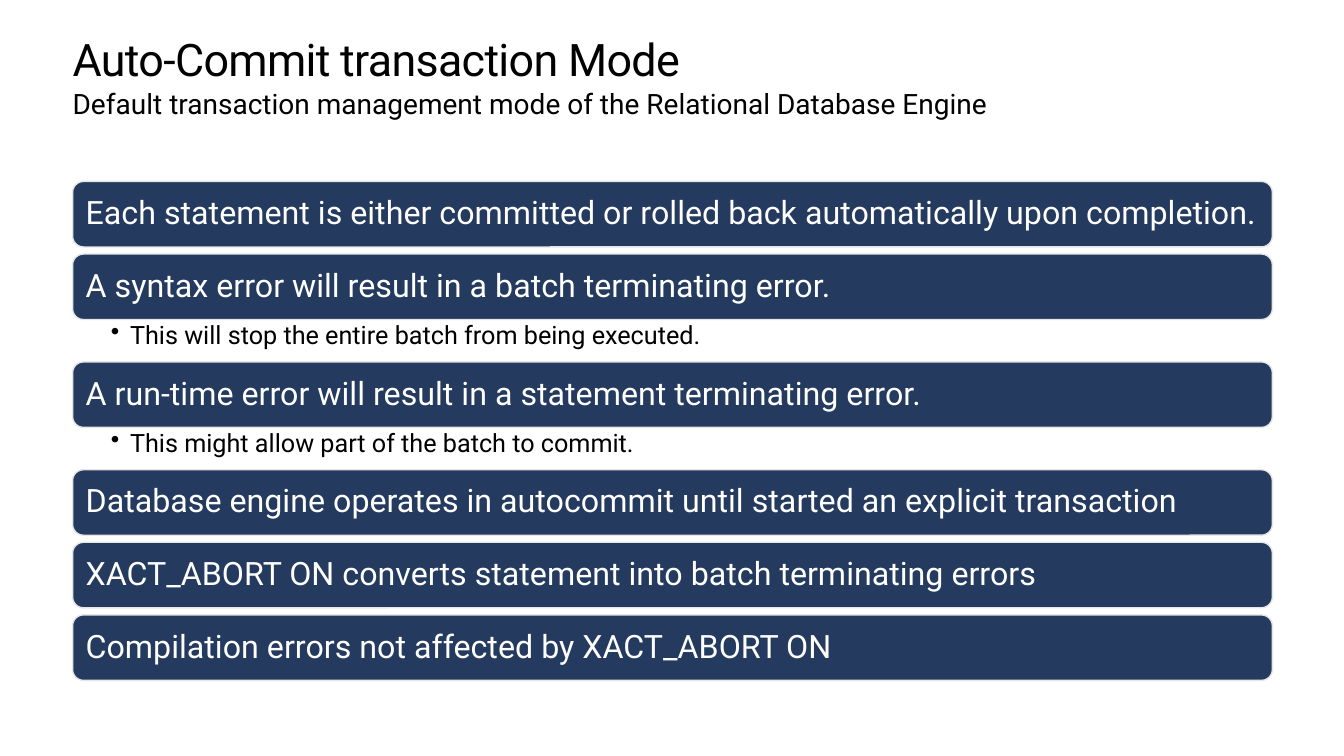
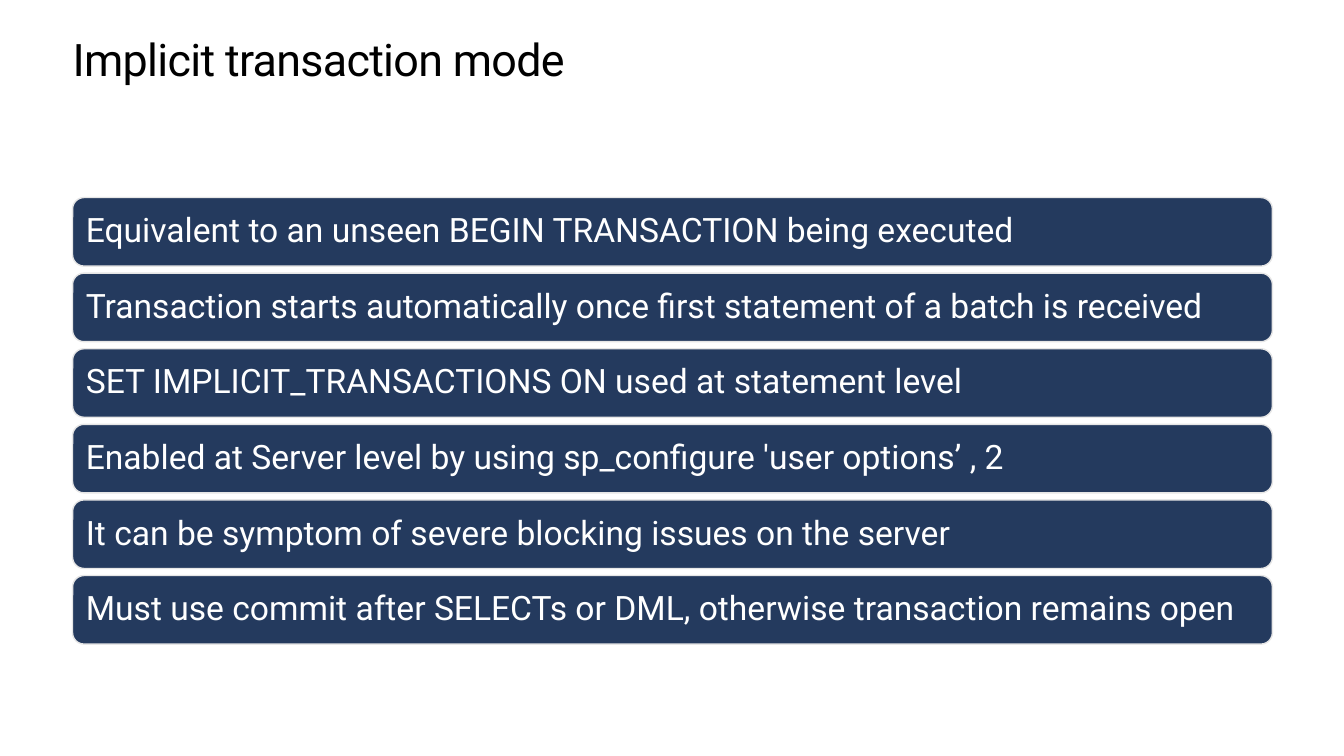
from dataclasses import dataclass

from pptx import Presentation
from pptx.dml.color import RGBColor
from pptx.enum.shapes import MSO_SHAPE
from pptx.enum.text import MSO_ANCHOR, MSO_AUTO_SIZE, PP_ALIGN
from pptx.oxml.ns import qn
from pptx.oxml.xmlchemy import OxmlElement
from pptx.util import Inches, Pt

FONT = "Roboto"
NAVY, PALE, WHITE, BLACK = "243A5E", "E6E6E6", "FFFFFF", "000000"
LEFT, WIDTH = 0.72, 11.9
GAP, DETAIL_HEIGHT = 0.07, 0.42
TITLE_LAYOUT, CONTENT_LAYOUT = 5, 1


@dataclass(frozen=True)
class Statement:
    text: str
    detail: str = ""


@dataclass(frozen=True)
class Topic:
    title: str
    top: float
    bar_height: float
    size: int
    statements: tuple[Statement, ...]
    subtitle: str = ""


TOPICS = (
    Topic(
        "Auto-Commit transaction Mode", 1.8, 0.65, 23,
        (
            Statement("Each statement is either committed or rolled back automatically upon completion."),
            Statement("A syntax error will result in a batch terminating error.",
                      "This will stop the entire batch from being executed."),
            Statement("A run-time error will result in a statement terminating error.",
                      "This might allow part of the batch to commit."),
            Statement("Database engine operates in autocommit until started an explicit transaction"),
            Statement("XACT_ABORT ON converts statement into batch terminating errors"),
            Statement("Compilation errors not affected by XACT_ABORT ON"),
        ),
        "Default transaction management mode of the Relational Database Engine",
    ),
    Topic(
        "Implicit transaction mode", 1.96, 0.68, 24,
        (
            Statement("Equivalent to an unseen BEGIN TRANSACTION being executed"),
            Statement("Transaction starts automatically once first statement of a batch is received"),
            Statement("SET IMPLICIT_TRANSACTIONS ON used at statement level"),
            Statement("Enabled at Server level by using sp_configure 'user options’ , 2"),
            Statement("It can be symptom of severe blocking issues on the server"),
            Statement("Must use commit after SELECTs or DML, otherwise transaction remains open"),
        ),
    ),
)


def rgb(color: str) -> RGBColor:
    return RGBColor.from_string(color)


def place(shape, top: float, height: float) -> None:
    shape.left, shape.top = Inches(LEFT), Inches(top)
    shape.width, shape.height = Inches(WIDTH), Inches(height)


def set_bullet(paragraph, char: str = "", indent: float = 0) -> None:
    properties = paragraph._p.get_or_add_pPr()
    properties.set("marL", str(Inches(indent)))
    properties.set("indent", str(-Inches(indent)))
    bullet = OxmlElement("a:buChar" if char else "a:buNone")
    if char:
        bullet.set("char", char)
    properties.append(bullet)


def write(shape, text: str, size: int, color: str = BLACK,
          insets: tuple[float, float, float, float] = (0, 0, 0, 0),
          anchor: MSO_ANCHOR = MSO_ANCHOR.TOP, bullet: str = "", indent: float = 0):
    frame = shape.text_frame
    frame.word_wrap = True
    frame.auto_size = MSO_AUTO_SIZE.NONE
    frame.vertical_anchor = anchor
    frame.margin_left, frame.margin_top, frame.margin_right, frame.margin_bottom = map(Inches, insets)
    frame.text = text
    paragraph = frame.paragraphs[0]
    set_bullet(paragraph, bullet, indent)
    paragraph.alignment = PP_ALIGN.LEFT
    paragraph.space_before = Pt(0)
    font = paragraph.font
    font.name, font.size = FONT, Pt(size)
    font.color.rgb = rgb(color)
    return paragraph


def add_heading(slide, topic: Topic) -> None:
    title = slide.shapes.title
    place(title, 0.35, 0.5)
    paragraph = write(title, topic.title, 32)
    paragraph.line_spacing = Pt(36.2)
    paragraph._p.pPr.find(qn("a:defRPr")).set("spc", "-50")
    if topic.subtitle:
        subtitle = slide.placeholders[1]
        place(subtitle, 0.86, 0.5)
        write(subtitle, topic.subtitle, 20)


def add_bar(slide, text: str, top: float, height: float, size: int) -> None:
    bar = slide.shapes.add_shape(MSO_SHAPE.ROUNDED_RECTANGLE, Inches(LEFT), Inches(top),
                                 Inches(WIDTH), Inches(height))
    bar.shadow.inherit = False
    bar.fill.solid()
    bar.fill.fore_color.rgb = rgb(NAVY)
    bar.line.color.rgb = rgb(PALE)
    bar.line.width = Pt(1)
    paragraph = write(bar, text, size, WHITE, (0.1, 0.1, 0.1, 0.1), MSO_ANCHOR.MIDDLE)
    paragraph.line_spacing = 0.9


def add_detail(slide, text: str, top: float) -> None:
    detail = slide.shapes.add_textbox(Inches(LEFT), Inches(top), Inches(WIDTH), Inches(DETAIL_HEIGHT))
    paragraph = write(detail, text, 18, insets=(0.38, 0.03, 0.18, 0.03), bullet="•", indent=0.19)
    paragraph.line_spacing = 0.9


def add_topic(deck, topic: Topic) -> None:
    layout = CONTENT_LAYOUT if topic.subtitle else TITLE_LAYOUT
    slide = deck.slides.add_slide(deck.slide_layouts[layout])
    add_heading(slide, topic)
    top = topic.top
    for statement in topic.statements:
        add_bar(slide, statement.text, top, topic.bar_height, topic.size)
        top += topic.bar_height
        if statement.detail:
            add_detail(slide, statement.detail, top)
        top += DETAIL_HEIGHT if statement.detail else GAP


def main() -> None:
    deck = Presentation()
    deck.slide_width, deck.slide_height = Inches(13.33), Inches(7.5)
    for topic in TOPICS:
        add_topic(deck, topic)
    deck.save("out.pptx")


if __name__ == "__main__":
    main()
